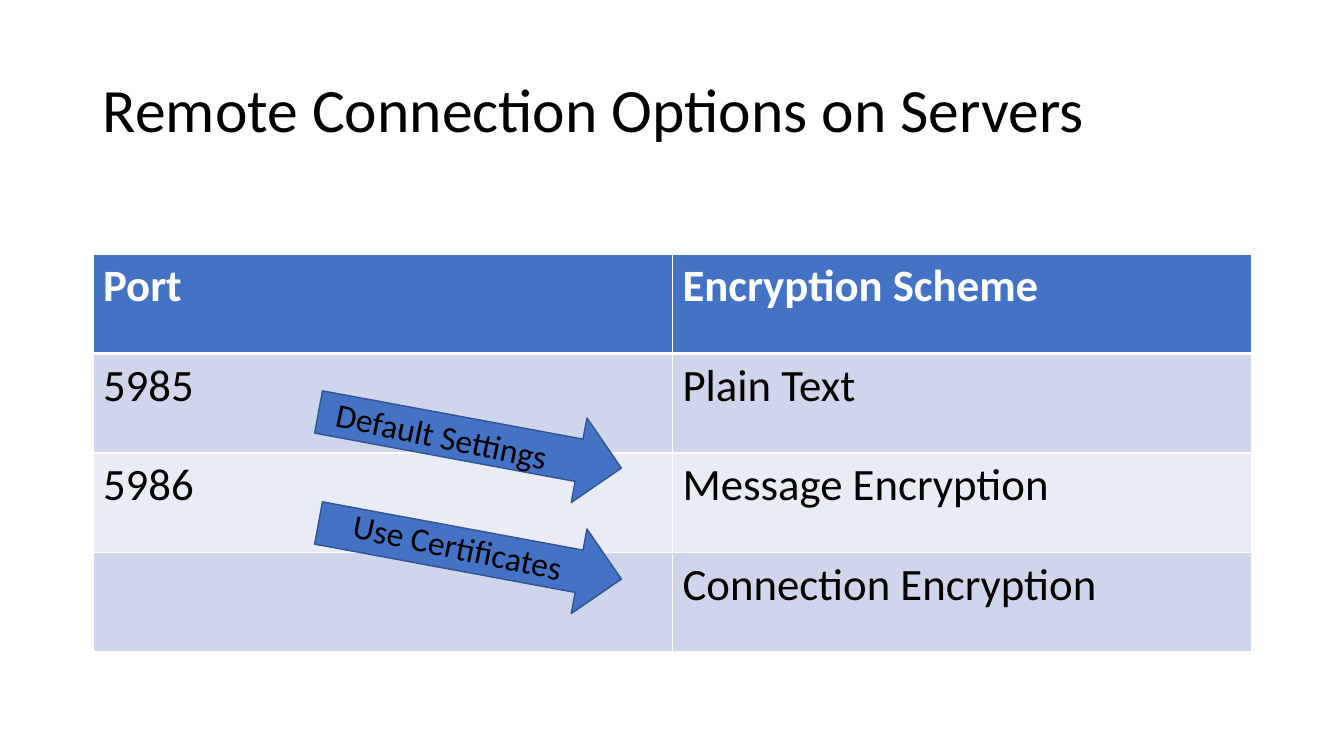
from lxml.etree import SubElement
from pptx import Presentation
from pptx.dml.color import RGBColor
from pptx.enum.shapes import MSO_SHAPE
from pptx.enum.text import MSO_ANCHOR
from pptx.oxml.ns import qn
from pptx.util import Inches, Pt

SCALE = Inches(1) / 100.8
COLORS = {
    "text": "000000", "white": "FFFFFF", "header": "4472C4",
    "odd": "CFD5EA", "even": "E9EBF5", "outline": "325491",
}


def px(n):
    return round(n * SCALE)


def rgb(name):
    return RGBColor.from_string(COLORS[name])


def add_text(tf, text, size=32, color="text", bold=False, spacing=None):
    p = tf.paragraphs[0]
    p.line_spacing = spacing
    r = p.add_run()
    r.text = text
    r.font.name = "Calibri"
    r.font.size = Pt(size)
    r.font.bold = bold
    r.font.color.rgb = rgb(color)


def set_borders(cell, **widths):
    tcPr = cell._tc.get_or_add_tcPr()
    for side in "LRTB":
        ln = SubElement(tcPr, qn(f"a:ln{side}"), w=str(Pt(widths.get(side, 1))))
        fill = SubElement(ln, qn("a:solidFill"))
        SubElement(fill, qn("a:srgbClr"), val=COLORS["white"])


def add_title(s, box, text):
    tf = s.shapes.add_textbox(*map(px, box)).text_frame
    tf.word_wrap = True
    tf.vertical_anchor = MSO_ANCHOR.MIDDLE
    add_text(tf, text, size=44, spacing=0.9)


def add_options_table(s, box, rows):
    table = s.shapes.add_table(len(rows), len(rows[0]), *map(px, box)).table
    for col in table.columns:
        col.width = px(box[2] / len(rows[0]))
    for i, row in enumerate(rows):
        table.rows[i].height = px(box[3] / len(rows))
        header = i == 0
        band = "header" if header else "odd" if i % 2 else "even"
        for j, text in enumerate(row):
            cell = table.cell(i, j)
            # Borders come before the fill in the cell properties
            set_borders(cell, T=3 if i == 1 else 1, B=3 if header else 1)
            cell.fill.solid()
            cell.fill.fore_color.rgb = rgb(band)
            if text:
                add_text(cell.text_frame, text, bold=header,
                         color="white" if header else "text")


def add_callout(s, box, text, shift):
    x, y, w, h = box
    cx, cy = x + w / 2, y + h / 2

    # Down arrow turned to point right and slightly down
    sp = s.shapes.add_shape(MSO_SHAPE.DOWN_ARROW, px(cx - h / 2), px(cy - w / 2),
                            px(h), px(w))
    sp.rotation = 280.5
    sp.shadow.inherit = False
    sp.fill.solid()
    sp.fill.fore_color.rgb = rgb("header")
    sp.line.color.rgb = rgb("outline")
    sp.line.width = Pt(1)

    # Label along the arrow
    lw, lh = 251, 50
    label = s.shapes.add_textbox(px(cx + shift - lw / 2), px(cy - 3 - lh / 2),
                                 px(lw), px(lh))
    label.rotation = 11.7
    label.text_frame.word_wrap = True
    add_text(label.text_frame, text, size=24)


prs = Presentation()
prs.slide_width, prs.slide_height = px(1344), px(756)
s = prs.slides.add_slide(prs.slide_layouts[6])

add_title(s, (93, 40, 1159, 146), "Remote Connection Options on Servers")
add_options_table(s, (93, 254, 1159, 398), [
    ("Port", "Encryption Scheme"),
    ("5985", "Plain Text"),
    ("5986", "Message Encryption"),
    ("", "Connection Encryption"),
])
for i, (text, shift) in enumerate([("Default Settings", -20), ("Use Certificates", -3)]):
    add_callout(s, (316, 397 + 111 * i, 308, 86), text, shift)

prs.save("out.pptx")
